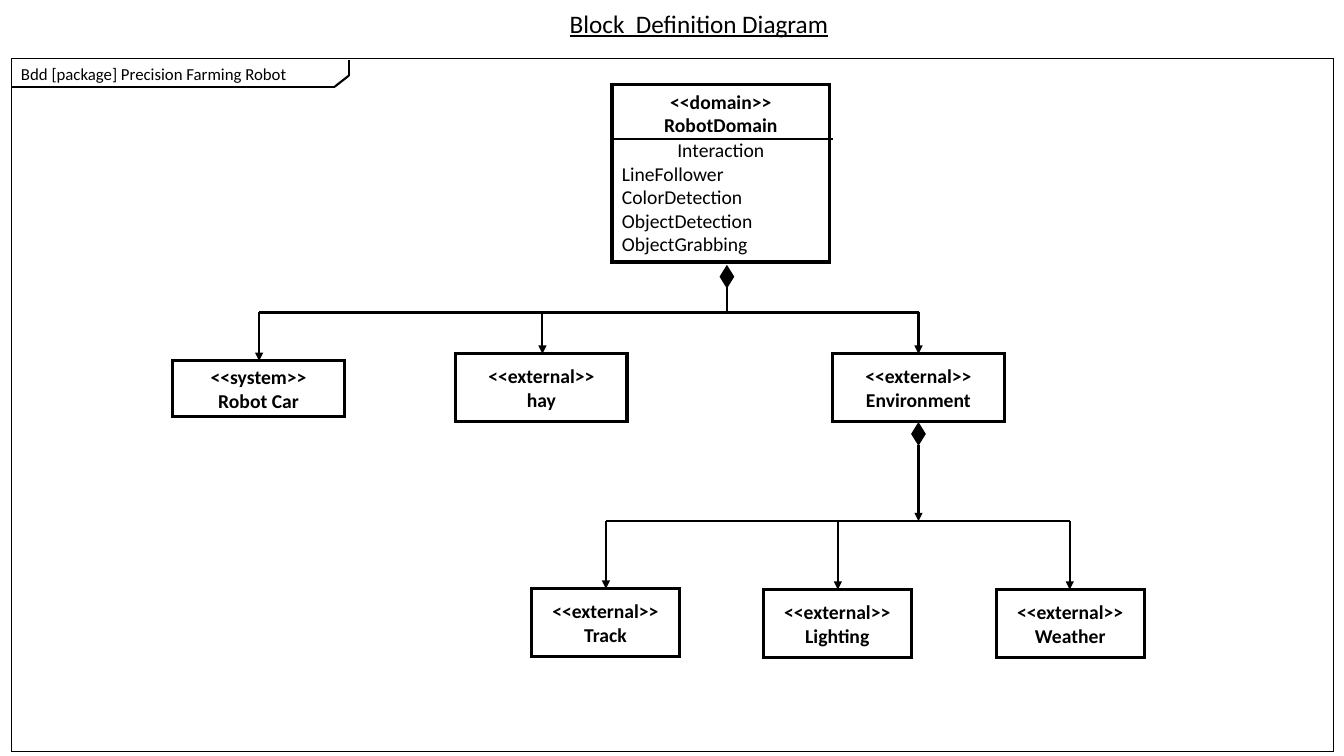
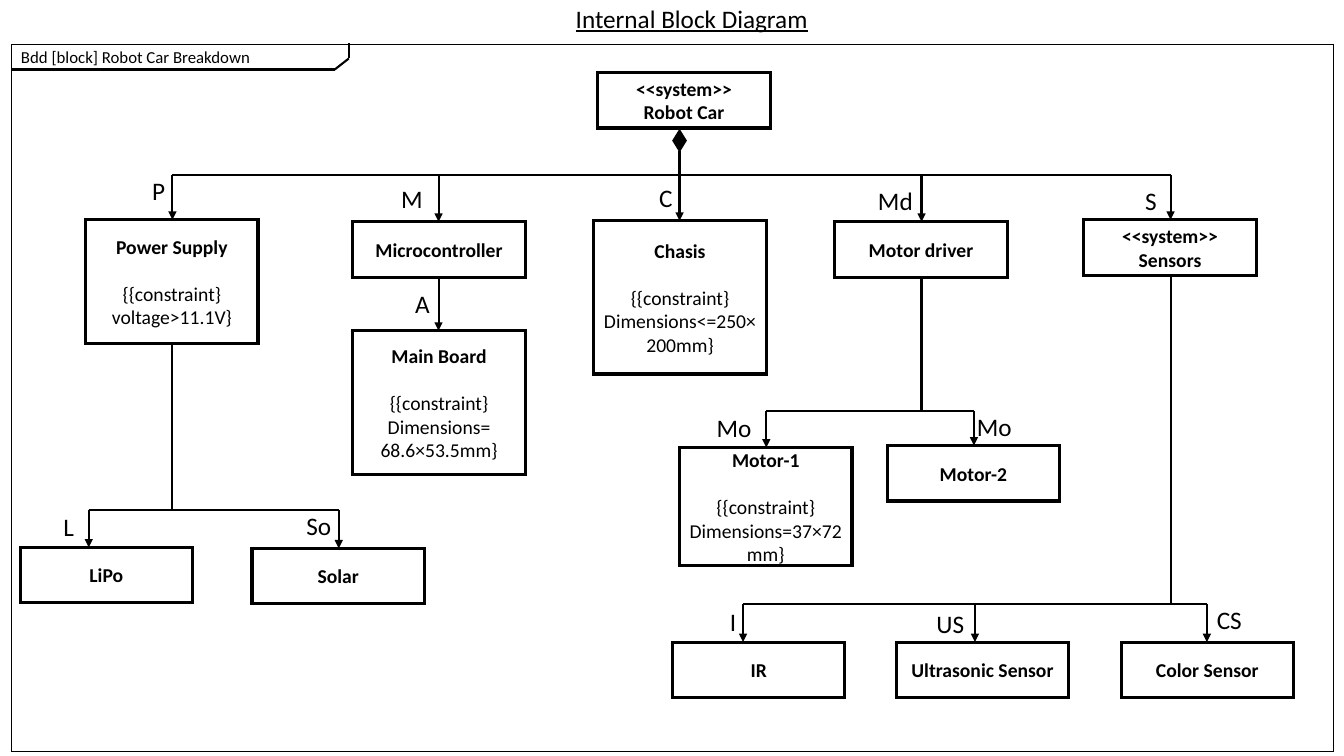
from itertools import pairwise

from lxml import etree
from pptx import Presentation
from pptx import util as u
from pptx.dml.color import RGBColor
from pptx.enum import shapes, text
from pptx.oxml.ns import qn

BLACK = RGBColor(0x00, 0x00, 0x00)
WHITE = RGBColor(0xFF, 0xFF, 0xFF)
LEFT, CENTER = text.PP_ALIGN.LEFT, text.PP_ALIGN.CENTER
RECTANGLE = shapes.MSO_SHAPE.RECTANGLE
DIAMOND = shapes.MSO_SHAPE.FLOWCHART_DECISION
DIAMOND_WIDTH, DIAMOND_HEIGHT = 0.13, 0.21
LABEL_SIZE = (0.6, 0.4)

TITLE_FONT = {"size": u.Pt(18), "underline": True, "bold": False}
LABEL_FONT = {"size": u.Pt(18)}
TAB_FONT = {"size": u.Pt(12)}
HEAD_FONT = {"size": u.Pt(14), "bold": True}
BODY_FONT = {"size": u.Pt(14), "bold": False}

SLIDES = [
    {
        "title": "Block  Definition Diagram",
        "title_at": (5.55, 0.03),
        "frame_top": 0.58,
        "tab_bottom": 0.86,
        "tab": "Bdd [package] Precision Farming Robot",
        "domain": {
            "at": (6.07, 0.84, 2.16, 1.76),
            "heads": ["<<domain>>", "RobotDomain"],
            "section": "Interaction",
            "parts": ["LineFollower", "ColorDetection", "ObjectDetection", "ObjectGrabbing"],
            "divider": [(6.09, 1.38), (8.26, 1.38)],
        },
        "boxes": {
            "car": (1.71, 3.58, 1.71, 0.55, ["<<system>>", "Robot Car"], ""),
            "hay": (4.52, 3.51, 1.7, 0.67, ["<<external>>", "hay"], ""),
            "environment": (8.26, 3.51, 1.7, 0.67, ["<<external>>", "Environment"], ""),
            "track": (5.27, 5.84, 1.47, 0.67, ["<<external>>", "Track"], ""),
            "lighting": (7.57, 5.85, 1.47, 0.67, ["<<external>>", "Lighting"], ""),
            "weather": (9.88, 5.85, 1.47, 0.67, ["<<external>>", "Weather"], ""),
        },
        "trees": [
            ("domain", 7.21, 2.64, 3.1, False, [
                ("car", 2.57, "", 0, 0),
                ("hay", 5.38, "", 0, 0),
                ("environment", 9.11, "", 0, 0),
            ]),
            ("environment", 9.11, 4.2, 5.17, True, [
                ("track", 6.01, "", 0, 0),
                ("lighting", 8.31, "", 0, 0),
                ("weather", 10.61, "", 0, 0),
            ]),
        ],
    },
    {
        "title": "Internal Block Diagram",
        "title_at": (5.61, -0.02),
        "frame_top": 0.44,
        "tab_bottom": 0.69,
        "tab": "Bdd [block] Robot Car Breakdown",
        "domain": None,
        "boxes": {
            "car": (5.93, 0.72, 1.71, 0.55, ["<<system>>", "Robot Car"], ""),
            "power": (0.85, 2.18, 1.71, 1.23, ["Power Supply"], "{{constraint} voltage>11.1V}"),
            "controller": (3.5, 2.2, 1.71, 0.55, ["Microcontroller"], ""),
            "chassis": (5.89, 2.19, 1.71, 1.52, ["Chasis"],
                        "{{constraint} Dimensions<=250×200mm}"),
            "driver": (8.28, 2.2, 1.71, 0.55, ["Motor driver"], ""),
            "sensors": (10.75, 2.18, 1.71, 0.55, ["<<system>>", "Sensors"], ""),
            "lipo": (0.2, 5.43, 1.71, 0.55, ["LiPo"], ""),
            "solar": (2.5, 5.44, 1.71, 0.55, ["Solar"], ""),
            "board": (3.5, 3.28, 1.71, 1.43, ["Main Board"],
                      "{{constraint} Dimensions= 68.6×53.5mm}"),
            "motor1": (6.74, 4.44, 1.71, 1.17, ["Motor-1"], "{{constraint} Dimensions=37×72mm}"),
            "motor2": (8.8, 4.42, 1.71, 0.55, ["Motor-2"], ""),
            "infrared": (6.67, 6.37, 1.71, 0.55, ["IR"], ""),
            "ultrasonic": (8.89, 6.37, 1.71, 0.55, ["Ultrasonic Sensor"], ""),
            "color": (11.12, 6.37, 1.71, 0.55, ["Color Sensor"], ""),
        },
        "trees": [
            ("car", 6.74, 1.29, 1.74, False, [
                ("power", 1.71, "P", 1.41, 1.69),
                ("controller", 4.35, "M", 3.88, 1.77),
                ("chassis", 6.74, "C", 6.44, 1.76),
                ("driver", 9.14, "Md", 8.61, 1.79),
                ("sensors", 11.61, "S", 11.26, 1.79),
            ]),
            ("controller", 4.35, None, None, False, [("board", 4.35, "A", 4.02, 2.81)]),
            ("power", 1.71, None, 5.06, False, [
                ("lipo", 0.88, "L", 0.53, 5.02),
                ("solar", 3.36, "So", 2.94, 5.01),
            ]),
            ("driver", 9.14, None, 4.08, False, [
                ("motor1", 7.6, "Mo", 7.01, 4.04),
                ("motor2", 9.66, "Mo", 9.59, 4.03),
            ]),
            ("sensors", 11.61, None, 5.99, False, [
                ("infrared", 7.37, "I", 7.14, 5.97),
                ("ultrasonic", 9.67, "US", 9.19, 5.99),
                ("color", 11.97, "CS", 11.97, 5.95),
            ]),
        ],
    },
]


def inches(*values):
    return [u.Inches(value) for value in values]


def apply(target, values):
    for name, value in values.items():
        setattr(target, name, value)


def write(frame, lines, anchor=text.MSO_ANCHOR.TOP):
    apply(frame, {"word_wrap": True, "auto_size": text.MSO_AUTO_SIZE.NONE,
                  "vertical_anchor": anchor})
    for index, (words, font, align, space) in enumerate(lines):
        para = frame.add_paragraph() if index else frame.paragraphs[0]
        para.alignment = align
        if space:
            para.space_before = u.Pt(space)
        span = para.add_run()
        span.text = words
        apply(span.font, {"name": "Calibri", **font})
        span.font.color.rgb = BLACK


def outline(shape, width):
    shape.line.color.rgb = BLACK
    shape.line.width = u.Pt(width)
    stroke = shape._element.spPr.find(qn("a:ln"))
    etree.SubElement(stroke, qn("a:miter"), lim="800000")
    return stroke


def add_shape(page, kind, at, width, fill=None):
    shape = page.shapes.add_shape(kind, *inches(*at))
    shape.shadow.inherit = False
    if fill is None:
        shape.fill.background()
    else:
        shape.fill.solid()
        shape.fill.fore_color.rgb = fill
    outline(shape, width)
    return shape


def add_line(page, start, end, arrow=False):
    line = page.shapes.add_connector(shapes.MSO_CONNECTOR.STRAIGHT, *inches(*start, *end))
    stroke = outline(line, 1.5)
    if arrow:
        etree.SubElement(stroke, qn("a:tailEnd"), type="triangle")
    etree.SubElement(line._element.spPr, qn("a:effectLst"))


def add_label(page, at, words, font):
    box = page.shapes.add_textbox(*inches(*at))
    write(box.text_frame, [(words, font, LEFT, 0)])


def add_frame(page, content):
    title = page.shapes.title
    apply(title, dict(zip(("left", "top", "width", "height"),
                          inches(*content["title_at"], 2.89, 0.4))))
    write(title.text_frame, [(content["title"], TITLE_FONT, LEFT, 0)])
    top, bottom = content["frame_top"], content["tab_bottom"]
    add_shape(page, RECTANGLE, (0.11, top, 13.12, 7.46 - top), 0.75)
    corners = [(0.11, bottom), (3.32, bottom), (3.46, bottom - 0.11), (3.46, bottom - 0.26)]
    for start, end in pairwise(corners):
        add_line(page, start, end)
    add_label(page, (0.11, bottom - 0.28, 3.58, 0.4), content["tab"], TAB_FONT)


def add_domain(page, domain):
    box = add_shape(page, RECTANGLE, domain["at"], 2.25, WHITE)
    lines = [(words, HEAD_FONT, CENTER, 0) for words in domain["heads"]]
    lines.append((domain["section"], BODY_FONT, CENTER, 1))
    lines += [(words, BODY_FONT, LEFT, 0) for words in domain["parts"]]
    write(box.text_frame, lines)
    add_line(page, *domain["divider"])


def add_block(page, left, top, width, height, heads, constraint):
    box = add_shape(page, RECTANGLE, (left, top, width, height), 2.25, WHITE)
    lines = [(words, HEAD_FONT, CENTER, 0) for words in heads]
    if constraint:
        lines.append((constraint, BODY_FONT, CENTER, 17))
    write(box.text_frame, lines, text.MSO_ANCHOR.MIDDLE)


def add_tree(page, boxes, tree):
    parent, stem, diamond, bus, arrow, children = tree
    if diamond is None:
        start = boxes[parent][1] + boxes[parent][3]
    else:
        start = diamond + DIAMOND_HEIGHT
        at = (stem - DIAMOND_WIDTH / 2, diamond, DIAMOND_WIDTH, DIAMOND_HEIGHT)
        add_shape(page, DIAMOND, at, 1, BLACK)
    if bus is None:
        bus = start
    else:
        ends = [stem] + [child[1] for child in children]
        add_line(page, (stem, start), (stem, bus), arrow)
        add_line(page, (min(ends), bus), (max(ends), bus))
    for name, x, label, left, top in children:
        add_line(page, (x, bus), (x, boxes[name][1]), True)
        if label:
            add_label(page, (left, top, *LABEL_SIZE), label, LABEL_FONT)


def main():
    deck = Presentation()
    deck.slide_width, deck.slide_height = inches(13.33, 7.5)
    for content in SLIDES:
        page = deck.slides.add_slide(deck.slide_layouts[5])
        add_frame(page, content)
        if content["domain"]:
            add_domain(page, content["domain"])
        for block in content["boxes"].values():
            add_block(page, *block)
        for tree in content["trees"]:
            add_tree(page, content["boxes"], tree)
    deck.save("out.pptx")


if __name__ == "__main__":
    main()
